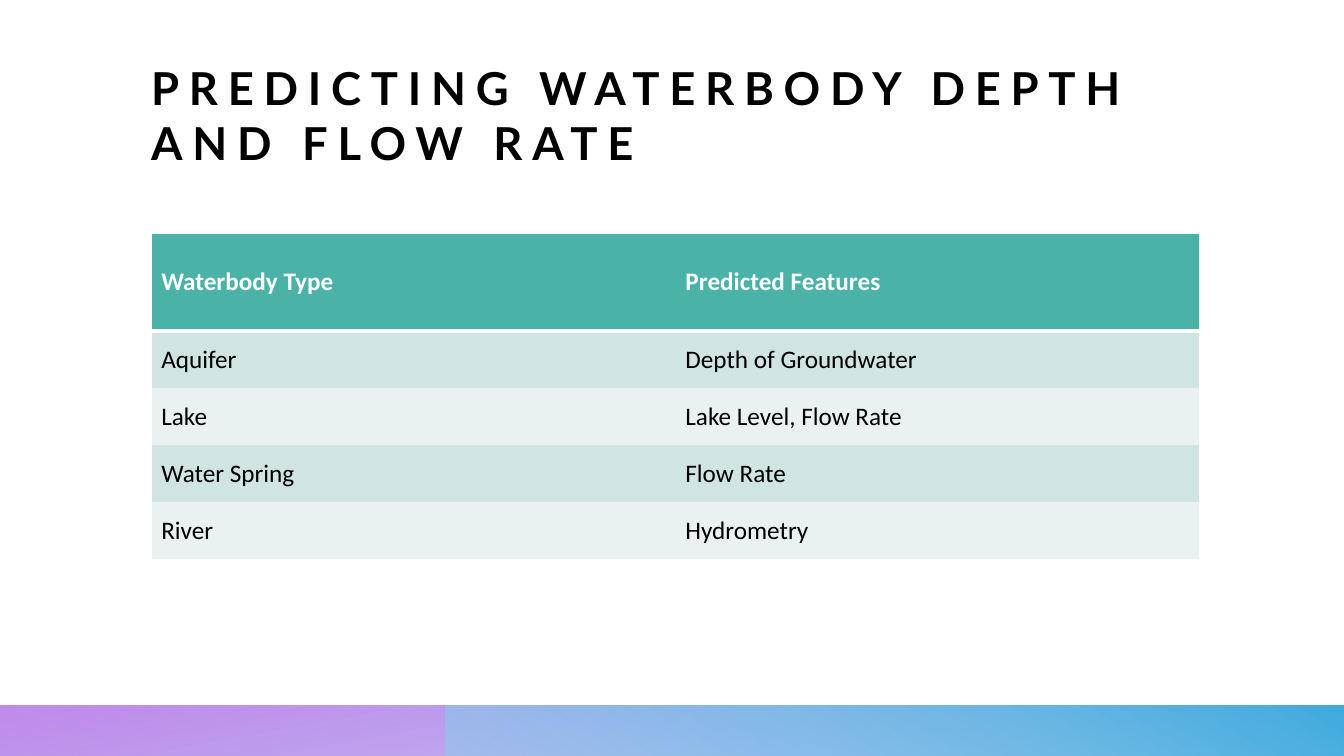
from pptx import Presentation
from pptx.util import Pt
from pptx.dml.color import RGBColor
from pptx.enum.shapes import MSO_SHAPE
from pptx.enum.text import MSO_ANCHOR
from pptx.oxml import parse_xml
from pptx.oxml.ns import nsdecls, qn

HUES = {
    "ink": "000000", "white": "FFFFFF", "head": "4BB2A7",
    "dark": "D0E4E1", "light": "E9F2F1",
    "violet": "6C57E2", "purple": "B675E7", "sky": "8CCDEB", "blue": "40ACDE",
}
PLAIN = "{2D5ABB26-0587-4C30-8999-92F81FD0307C}"  # table style without grid


def style(run, font, size, hue, bold):
    run.font.name = font
    run.font.size = Pt(size)
    run.font.bold = bold
    run.font.color.rgb = RGBColor.from_string(HUES[hue])


deck = Presentation()
deck.slide_width, deck.slide_height = Pt(960), Pt(540)
slide = deck.slides.add_slide(deck.slide_layouts[6])

# Gradient bars along the bottom: left, width, turn, angle, (hue, opacity) pairs
bars = [
    (0, 960, 180, 100, [("violet", 28), ("purple", 85)]),
    (318, 642, 0, 240, [("sky", 55), ("blue", 100)]),
]
for left, width, turn, angle, ends in bars:
    bar = slide.shapes.add_shape(
        MSO_SHAPE.RECTANGLE, Pt(left), Pt(504), Pt(width), Pt(36))
    bar.shadow.inherit = False
    bar.line.fill.background()
    bar.rotation = turn
    props = bar._element.spPr
    props.find(qn("a:xfrm")).set("flipH", "1")
    stops = "".join(
        f'<a:gs pos="{i * 100000}"><a:srgbClr val="{HUES[hue]}">'
        f'<a:alpha val="{alpha * 1000}"/></a:srgbClr></a:gs>'
        for i, (hue, alpha) in enumerate(ends))
    props.find(qn("a:prstGeom")).addnext(parse_xml(
        f'<a:gradFill {nsdecls("a")} rotWithShape="1"><a:gsLst>{stops}</a:gsLst>'
        f'<a:lin ang="{angle * 60000}" scaled="0"/></a:gradFill>'))

# Title
title = slide.shapes.add_textbox(Pt(108), Pt(62.6), Pt(806.4), Pt(97.2))
frame = title.text_frame
frame.word_wrap = True
frame.vertical_anchor = MSO_ANCHOR.BOTTOM
frame.margin_left = frame.margin_right = frame.margin_top = 0
frame.margin_bottom = Pt(39)
frame.text = "PREDICTING WATERBODY DEPTH AND FLOW RATE"
run = frame.paragraphs[0].runs[0]
style(run, "Lato", 32.4, "ink", True)
run.font._element.set("spc", "700")

# Table
rows = [
    ("Waterbody Type", "Predicted Features"),
    ("Aquifer", "Depth of Groundwater"),
    ("Lake", "Lake Level, Flow Rate"),
    ("Water Spring", "Flow Rate"),
    ("River", "Hydrometry"),
]
last = len(rows) - 1
holder = slide.shapes.add_table(
    len(rows), 2, Pt(108), Pt(166.5), Pt(748.8), Pt(233.6))
table = holder.table
table.horz_banding = False
table._tbl.tblPr.find(qn("a:tableStyleId")).text = PLAIN
for col in table.columns:
    col.width = Pt(374.4)

for r, words in enumerate(rows):
    table.rows[r].height = Pt(40.9 if r else 69.8)
    band = "head" if r == 0 else "dark" if r % 2 else "light"
    for c, word in enumerate(words):
        cell = table.cell(r, c)
        cell.vertical_anchor = MSO_ANCHOR.MIDDLE
        cell.text_frame.text = word
        style(cell.text_frame.paragraphs[0].runs[0], "Calibri", 18,
              "ink" if r else "white", r == 0)
        cell.fill.solid()
        cell.fill.fore_color.rgb = RGBColor.from_string(HUES[band])

        # White outer edges and a thick rule below the header
        edges = [("lnL", c == 0), ("lnR", c == 1), ("lnT", r == 0),
                 ("lnB", 3 if r == 0 else r == last)]
        sides = [(tag, int(wide)) for tag, wide in edges if wide]
        for i, (tag, wide) in enumerate(sides):
            cell._tc.get_or_add_tcPr().insert(i, parse_xml(
                f'<a:{tag} {nsdecls("a")} w="{wide * 12700}"><a:solidFill>'
                f'<a:srgbClr val="{HUES["white"]}"/></a:solidFill></a:{tag}>'))

deck.save("out.pptx")
